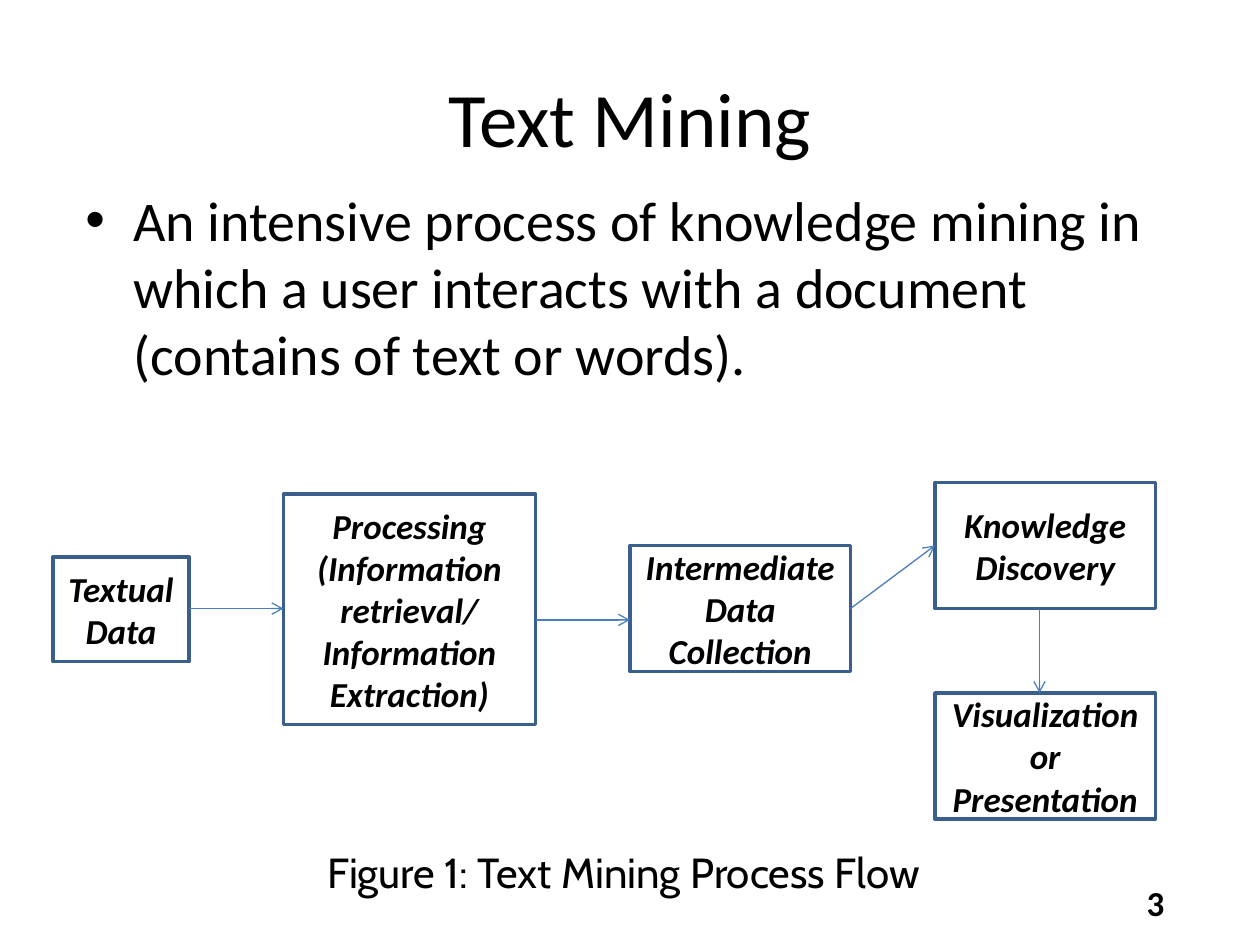
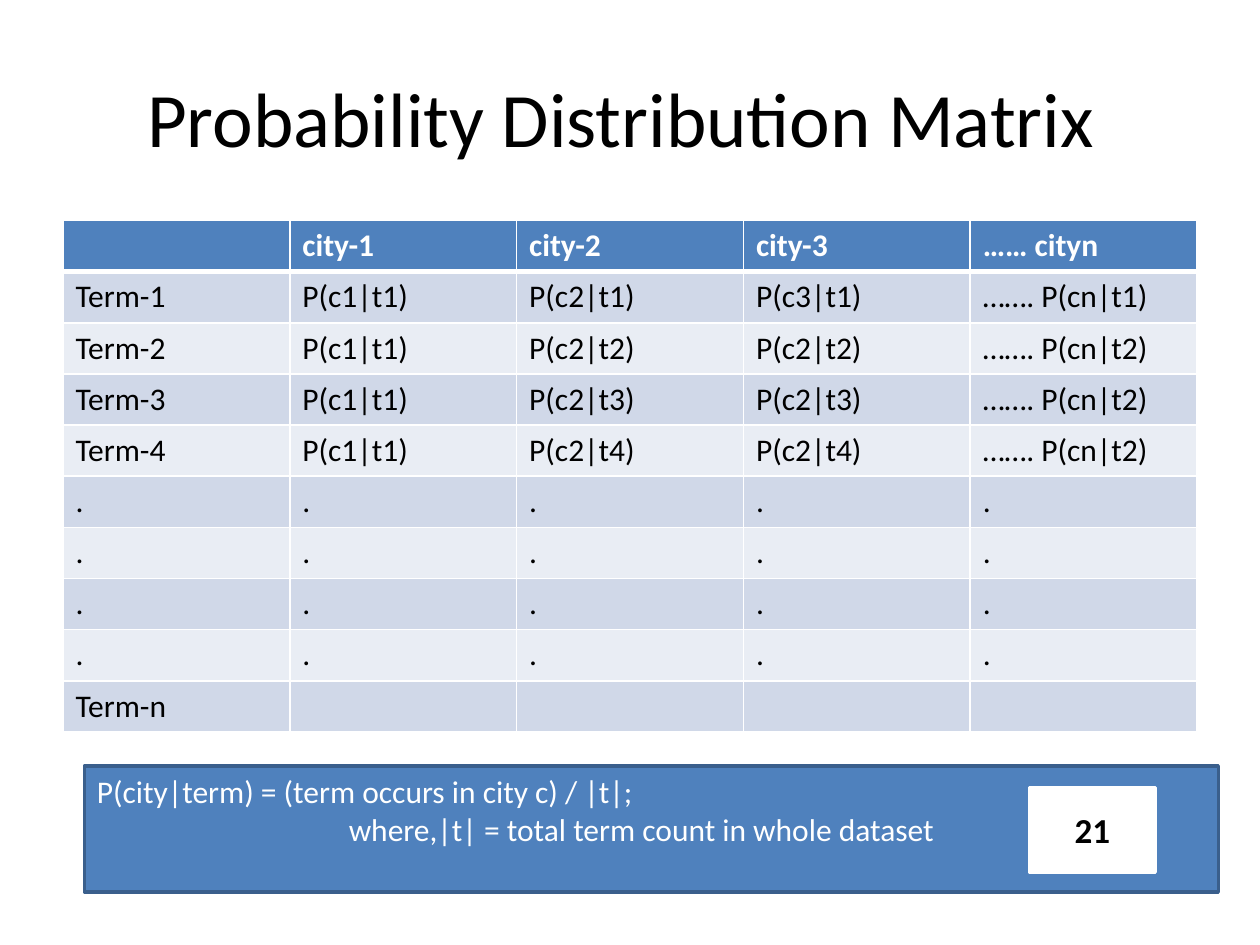
import lxml.etree
import pptx
import pptx.dml.color
import pptx.enum.shapes
import pptx.enum.text
import pptx.oxml.ns
import pptx.util

Inches = pptx.util.Inches
Pt = pptx.util.Pt
qn = pptx.oxml.ns.qn
ALIGN = pptx.enum.text.PP_ALIGN
ANCHOR = pptx.enum.text.MSO_ANCHOR
RECTANGLE = pptx.enum.shapes.MSO_SHAPE.RECTANGLE
STRAIGHT = pptx.enum.shapes.MSO_CONNECTOR.STRAIGHT

BLACK, WHITE = "000000", "FFFFFF"
BLUE, OUTLINE, ARROW = "4F81BD", "3A5F8C", "4B7EBC"
BANDS = ["E9EDF4", "D0D8E8"]


def color(value):
    return pptx.dml.color.RGBColor.from_string(value)


def write(paragraph, text, size, ink=BLACK, bold=False, italic=False,
          font="Calibri", align=ALIGN.LEFT):
    paragraph.alignment = align
    run = paragraph.add_run()
    run.text = text
    run.font.name = font
    run.font.size = Pt(size)
    run.font.bold = bold
    run.font.italic = italic
    run.font.color.rgb = color(ink)


presentation = pptx.Presentation()
presentation.slide_width = Inches(10)
presentation.slide_height = Inches(7.5)

# Slides with their titles
slides = []
for title_text in ["Text Mining", "Probability Distribution Matrix "]:
    slide = presentation.slides.add_slide(presentation.slide_layouts[5])
    title = slide.shapes.title
    title.left, title.top = Inches(0.5), Inches(0.3)
    title.width, title.height = Inches(9), Inches(1.25)
    title.text_frame.vertical_anchor = ANCHOR.MIDDLE
    write(title.text_frame.paragraphs[0], title_text, 44, align=ALIGN.CENTER)
    slides.append(slide)
flow_slide, matrix_slide = slides

# Definition with a hanging bullet
definition = flow_slide.shapes.add_textbox(
    Inches(0.58), Inches(1.42), Inches(9), Inches(4.95)).text_frame
definition.word_wrap = True
paragraph = definition.paragraphs[0]
write(paragraph, "An intensive process of knowledge mining in which a user interacts "
      "with a document (contains of text or words).", 32)
paragraph.space_before = Pt(6.4)
properties = paragraph._p.get_or_add_pPr()
properties.set("marL", str(Inches(0.38)))
properties.set("indent", str(Inches(-0.38)))
lxml.etree.SubElement(properties, qn("a:buFont")).set("typeface", "Arial")
lxml.etree.SubElement(properties, qn("a:buChar")).set("char", "•")

# Formula bar, behind the page number
formula_bar = matrix_slide.shapes.add_shape(
    RECTANGLE, Inches(0.67), Inches(6.08), Inches(9), Inches(1))
formula_bar.shadow.inherit = False
formula_bar.fill.solid()
formula_bar.fill.fore_color.rgb = color(BLUE)
formula_bar.line.color.rgb = color(OUTLINE)
formula_bar.line.width = Pt(2)
formula = formula_bar.text_frame
formula.vertical_anchor = ANCHOR.TOP
write(formula.paragraphs[0], "P(city|term) = (term occurs in city c) / |t|;", 18, WHITE)
condition = formula.add_paragraph()
write(condition, "where,|t| = total term count in whole dataset", 18, WHITE)
condition._p.get_or_add_pPr().set("marL", str(Inches(2)))

# White boxes: process steps and page numbers
boxes = [
    (flow_slide, "Textual Data", 0.42, 4.42, 1.08, 0.83, OUTLINE),
    (flow_slide, "Processing (Information retrieval/ Information Extraction)",
     2.25, 3.92, 2, 1.83, OUTLINE),
    (flow_slide, "Intermediate Data Collection", 5, 4.33, 1.75, 1, OUTLINE),
    (flow_slide, "Knowledge Discovery", 7.42, 3.83, 1.75, 1, OUTLINE),
    (flow_slide, "Visualization or Presentation", 7.42, 5.5, 1.75, 1, OUTLINE),
    (flow_slide, "3", 8.67, 6.83, 1, 0.67, WHITE),
    (matrix_slide, "21", 8.17, 6.25, 1, 0.67, WHITE),
]
for slide, text, left, top, width, height, outline in boxes:
    box = slide.shapes.add_shape(
        RECTANGLE, Inches(left), Inches(top), Inches(width), Inches(height))
    box.shadow.inherit = False
    box.fill.solid()
    box.fill.fore_color.rgb = color(WHITE)
    box.line.color.rgb = color(outline)
    box.line.width = Pt(2)
    box.text_frame.word_wrap = True
    box.text_frame.vertical_anchor = ANCHOR.MIDDLE
    write(box.text_frame.paragraphs[0], text, 20, bold=True,
          italic=outline == OUTLINE, align=ALIGN.CENTER)

# Arrows between the steps
arrows = [
    (1.5, 4.83, 2.25, 4.83),
    (4.25, 4.92, 5, 4.92),
    (6.75, 4.83, 7.42, 4.33),
    (8.25, 4.83, 8.25, 5.5),
]
for ends in arrows:
    arrow = flow_slide.shapes.add_connector(STRAIGHT, *[Inches(end) for end in ends])
    arrow.line.color.rgb = color(ARROW)
    arrow.line.width = Pt(0.75)
    shape_properties = arrow.element.spPr
    line = shape_properties.find(qn("a:ln"))
    lxml.etree.SubElement(line, qn("a:tailEnd")).set("type", "arrow")
    lxml.etree.SubElement(shape_properties, qn("a:effectLst"))

# Figure caption
caption = flow_slide.shapes.add_textbox(
    Inches(2.5), Inches(6.67), Inches(5.25), Inches(0.5)).text_frame
caption.word_wrap = True
write(caption.paragraphs[0], "Figure 1: Text Mining Process Flow", 24, font="Cabin")

# Probability table
rows = [
    ["", "city-1", "city-2", "city-3", "…… cityn"],
    ["Term-1", "P(c1|t1)", "P(c2|t1)", "P(c3|t1)", "……. P(cn|t1)"],
    ["Term-2", "P(c1|t1)", "P(c2|t2)", "P(c2|t2)", "……. P(cn|t2)"],
    ["Term-3", "P(c1|t1)", "P(c2|t3)", "P(c2|t3)", "……. P(cn|t2)"],
    ["Term-4", "P(c1|t1)", "P(c2|t4)", "P(c2|t4)", "……. P(cn|t2)"],
    *[["."] * 5 for _ in range(4)],
    ["Term-n", "", "", "", ""],
]
table = matrix_slide.shapes.add_table(
    len(rows), 5, Inches(0.5), Inches(1.75), Inches(9), Inches(4.06)).table
for row_index, row in enumerate(rows):
    header = row_index == 0
    for column_index, text in enumerate(row):
        cell = table.cell(row_index, column_index)
        cell_properties = cell._tc.get_or_add_tcPr()
        for side in ["lnL", "lnR", "lnT", "lnB"]:
            under_header = (row_index, side) in [(0, "lnB"), (1, "lnT")]
            border = lxml.etree.SubElement(cell_properties, qn("a:" + side))
            border.set("w", str(Pt(3 if under_header else 1)))
            border_fill = lxml.etree.SubElement(border, qn("a:solidFill"))
            lxml.etree.SubElement(border_fill, qn("a:srgbClr")).set("val", WHITE)
        cell.fill.solid()
        cell.fill.fore_color.rgb = color(BLUE if header else BANDS[row_index % 2])
        if text:
            write(cell.text_frame.paragraphs[0], text, 18,
                  WHITE if header else BLACK, bold=header)

presentation.save("out.pptx")
